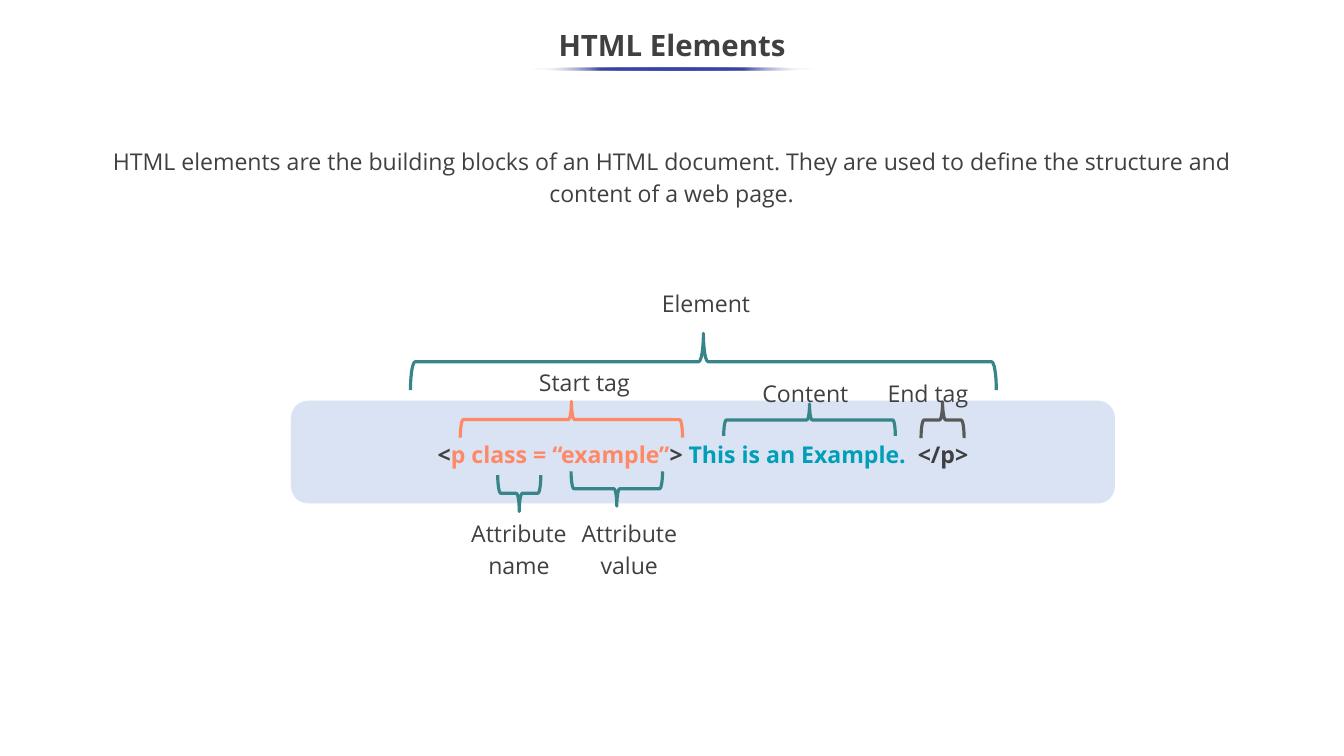
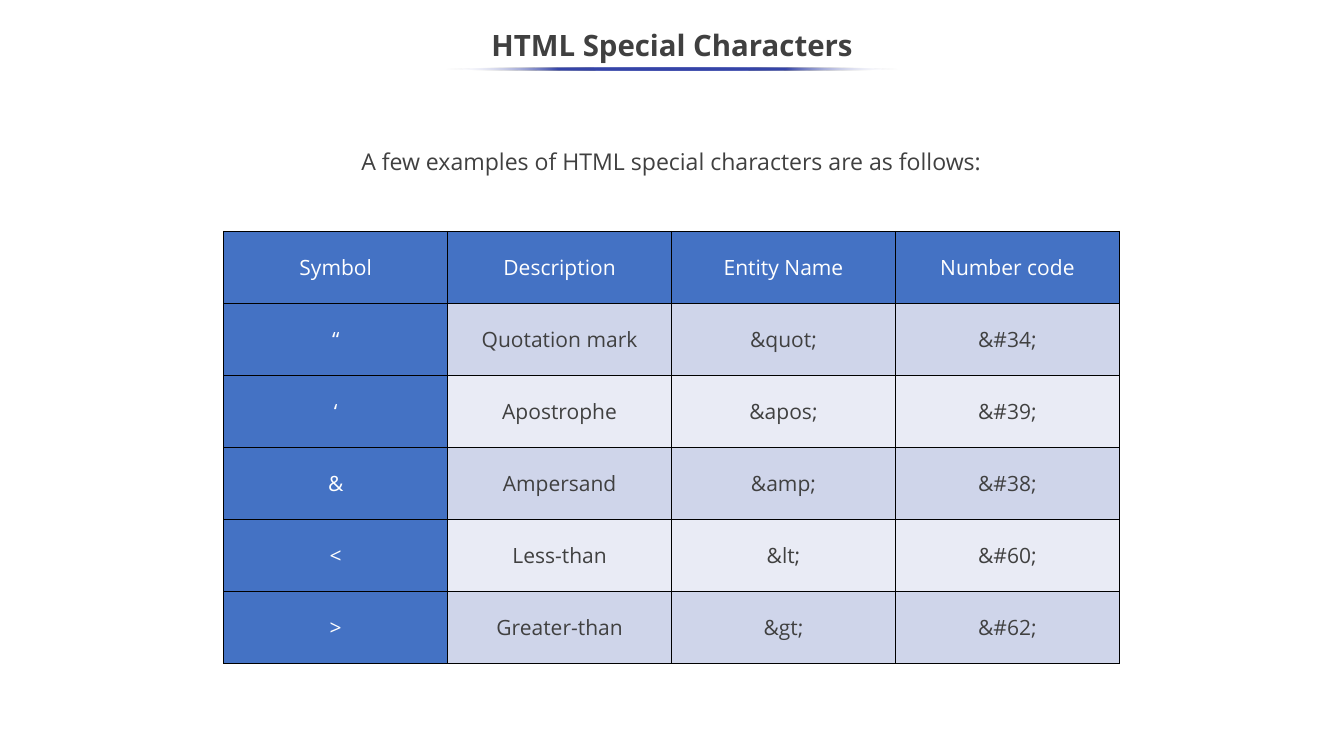
from dataclasses import dataclass

from lxml import etree
from pptx import Presentation
from pptx.dml.color import RGBColor
from pptx.enum.shapes import MSO_SHAPE
from pptx.enum.text import MSO_ANCHOR, PP_ALIGN
from pptx.oxml.ns import qn
from pptx.util import Inches, Pt

ROUND, BRACE, OVAL = MSO_SHAPE.ROUNDED_RECTANGLE, MSO_SHAPE.LEFT_BRACE, MSO_SHAPE.OVAL
MIDDLE, CENTER = MSO_ANCHOR.MIDDLE, PP_ALIGN.CENTER
FONT = "Open Sans"
WIDTH, HEIGHT = 17.78, 10
UP, DOWN = 270, 90
COLORS = {
    "text": "404040", "white": "FFFFFF", "black": "000000", "rule": "3645A9",
    "panel": "DAE3F3", "coral": "FF8966", "cyan": "009FB7", "teal": "378589",
    "gray": "595959", "head": "4472C4", "dark": "CFD5EA", "light": "E9EBF5",
}


@dataclass
class Label:
    text: str
    left: float
    top: float
    width: float
    height: float = 0.5


@dataclass
class Brace:
    left: float
    top: float
    depth: float
    span: float
    turn: int = UP
    color: str = "teal"


@dataclass
class Part:
    text: str
    color: str = "text"


LABELS = [
    Label("Element", 7.77, 3.72, 3.14),
    Label("Start tag", 6.16, 4.77, 3.14),
    Label("Content", 9.8, 4.92, 1.71),
    Label("End tag", 11.42, 4.92, 1.71),
    Label("Attribute name", 6.02, 6.77, 1.69, 0.93),
    Label("Attribute value", 7.3, 6.77, 2.05, 0.93),
]
BRACES = [
    Brace(8.93, 0.91, 0.75, 7.75),
    Brace(7.32, 4.08, 0.48, 2.94, color="coral"),
    Brace(10.5, 4.42, 0.42, 2.27),
    Brace(12.23, 5.27, 0.48, 0.57, color="gray"),
    Brace(6.63, 6.24, 0.48, 0.57, DOWN),
    Brace(7.93, 5.86, 0.46, 1.21, DOWN),
]
PARTS = [
    Part("<"),
    Part("p class = “example”", "coral"),
    Part("> "),
    Part("This is an Example.", "cyan"),
    Part("  </p>"),
]
ROWS = [
    ("Symbol", "Description", "Entity Name", "Number code"),
    ("“", "Quotation mark", "&quot;", "&#34;"),
    ("‘", "Apostrophe", "&apos;", "&#39;"),
    ("&", "Ampersand", "&amp;", "&#38;"),
    ("<", "Less-than", "&lt;", "&#60;"),
    (">", "Greater-than", "&gt;", "&#62;"),
]


def tint(name: str) -> RGBColor:
    return RGBColor.from_string(COLORS[name])


def style(run, size: float, color: str = "text", bold: bool = False) -> None:
    font = run.font
    font.name, font.size, font.bold = FONT, Pt(size), bold
    font.color.rgb = tint(color)


def add_label(slide, label: Label, size: float = 22, bold: bool = False, pitch: float = 1.15):
    box = slide.shapes.add_textbox(
        Inches(label.left), Inches(label.top), Inches(label.width), Inches(label.height))
    frame = box.text_frame
    frame.word_wrap = True
    frame.text = label.text
    para = frame.paragraphs[0]
    para.alignment, para.line_spacing = CENTER, pitch
    style(para.runs[0], size, bold=bold)
    return frame


def add_shape(slide, kind, left: float, top: float, width: float, height: float):
    shape = slide.shapes.add_shape(
        kind, Inches(left), Inches(top), Inches(width), Inches(height))
    shape.shadow.inherit = False
    return shape


def add_rule(slide, width: float) -> None:
    rule = add_shape(slide, OVAL, (WIDTH - width) / 2, 0.89, width, 0.04)
    rule.line.fill.background()
    rule.fill.gradient()
    rule.fill.gradient_angle = 180
    stops = rule._element.spPr.find(qn("a:gradFill")).find(qn("a:gsLst"))
    for stop in list(stops):
        stops.remove(stop)
    for pos in range(0, 101, 25):
        edge = pos in (0, 100)
        stop = etree.SubElement(stops, qn("a:gs"), pos=str(pos * 1000))
        color = etree.SubElement(
            stop, qn("a:srgbClr"), val=COLORS["white" if edge else "rule"])
        if edge:
            etree.SubElement(color, qn("a:alpha"), val="0")


def add_page(deck, title: str, rule: float, intro: Label):
    slide = deck.slides.add_slide(deck.slide_layouts[6])
    frame = add_label(slide, Label(title, -0.01, 0.25, 17.8, 0.75), 28, True, 0.9)
    frame.vertical_anchor = MIDDLE
    add_rule(slide, rule)
    add_label(slide, intro)
    return slide


def add_panel(slide) -> None:
    panel = add_shape(slide, ROUND, 3.85, 5.3, 10.9, 1.36)
    panel.fill.solid()
    panel.fill.fore_color.rgb = tint("panel")
    panel.line.fill.background()
    panel.text_frame.vertical_anchor = MIDDLE
    para = panel.text_frame.paragraphs[0]
    para.alignment, para.line_spacing = CENTER, 1.15
    for part in PARTS:
        run = para.add_run()
        run.text = part.text
        style(run, 22, part.color, True)


def add_brace(slide, brace: Brace) -> None:
    shape = add_shape(slide, BRACE, brace.left, brace.top, brace.depth, brace.span)
    shape.rotation = brace.turn
    shape._element.spPr.get_or_add_xfrm().set("flipH", "1")
    shape.fill.background()
    shape.line.color.rgb = tint(brace.color)
    shape.line.width = Pt(3)


def add_border(cell) -> None:
    props = cell._tc.get_or_add_tcPr()
    for side in ("lnL", "lnR", "lnT", "lnB"):
        line = etree.SubElement(props, qn(f"a:{side}"), w=str(Pt(1)))
        fill = etree.SubElement(line, qn("a:solidFill"))
        etree.SubElement(fill, qn("a:srgbClr"), val=COLORS["black"])


def add_grid(slide) -> None:
    table = slide.shapes.add_table(
        len(ROWS), len(ROWS[0]), Inches(2.96), Inches(3.06),
        Inches(11.85), Inches(5.72)).table
    table.first_row = table.horz_banding = False
    for r, row in enumerate(ROWS):
        for c, text in enumerate(row):
            cell = table.cell(r, c)
            head = r == 0 or c == 0
            add_border(cell)
            cell.fill.solid()
            cell.fill.fore_color.rgb = tint(
                "head" if head else "dark" if r % 2 else "light")
            cell.vertical_anchor = MIDDLE
            cell.text_frame.text = text
            para = cell.text_frame.paragraphs[0]
            para.alignment = CENTER
            style(para.runs[0], 20, "white" if head else "text")


def main() -> None:
    deck = Presentation()
    deck.slide_width, deck.slide_height = Inches(WIDTH), Inches(HEIGHT)

    slide = add_page(deck, "HTML Elements", 3.75, Label(
        "HTML elements are the building blocks of an HTML document. "
        "They are used to define the structure and content of a web page.",
        0.96, 1.85, 15.85, 0.93))
    add_panel(slide)
    for brace in BRACES:
        add_brace(slide, brace)
    for label in LABELS:
        add_label(slide, label)

    slide = add_page(deck, "HTML Special Characters", 5.98, Label(
        "A few examples of HTML special characters are as follows:",
        2.93, 1.85, 11.9))
    add_grid(slide)

    deck.save("out.pptx")


if __name__ == "__main__":
    main()
